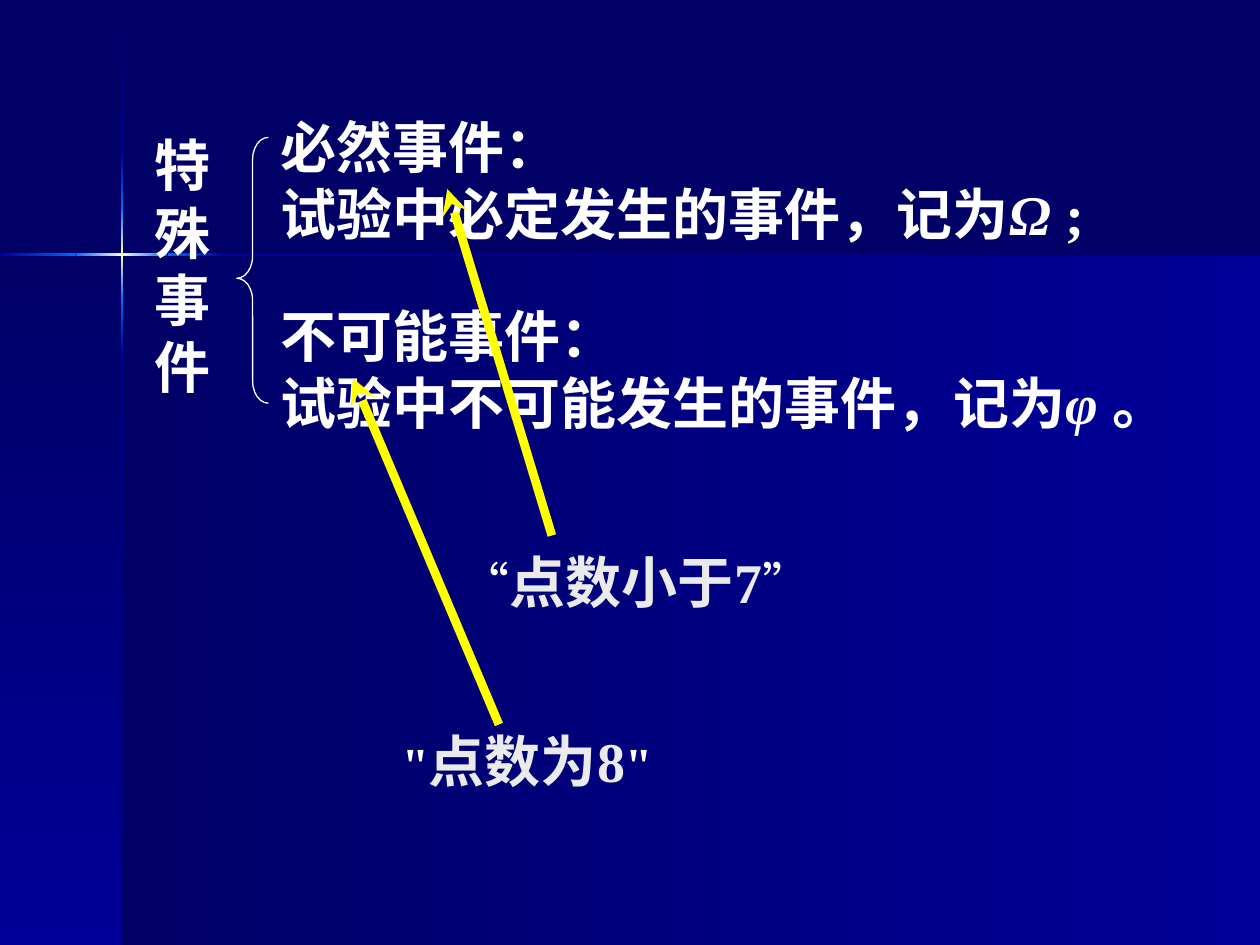
from dataclasses import dataclass
from copy import deepcopy

from lxml import etree
from pptx import Presentation
from pptx import util as u
from pptx.dml.color import RGBColor
from pptx.enum import shapes, text
from pptx.oxml.ns import qn


@dataclass(frozen=True)
class Theme:
    font: str = "Times New Roman"
    body: int = 32
    quote: int = 28
    night: str = "000066"
    navy: str = "000099"
    blue: str = "0066FF"
    glow: str = "FFFFCC"
    white: str = "FFFFFF"
    pale: str = "EAEAEA"
    yellow: str = "FFFF00"


class Deck:
    def __init__(self, theme, width, height):
        self.theme = theme
        self.prs = Presentation()
        self.prs.slide_width = u.Inches(width)
        self.prs.slide_height = u.Inches(height)
        self.s = self.prs.slides.add_slide(self.prs.slide_layouts[6])

    def background(self, color):
        fill = self.s.background.fill
        fill.solid()
        fill.fore_color.rgb = RGBColor.from_string(color)

    def panel(self, box, colors, angle):
        """Borderless rectangle; evenly spaced colors, counter-clockwise angle."""
        sp = self.s.shapes.add_shape(shapes.MSO_SHAPE.RECTANGLE, *map(u.Inches, box))
        sp.shadow.inherit = False
        sp.line.fill.background()
        sp.fill.gradient()
        sp.fill.gradient_angle = angle
        stop_list = sp._element.spPr.find(qn("a:gradFill")).find(qn("a:gsLst"))
        while len(stop_list) < len(colors):
            stop_list.append(deepcopy(stop_list[-1]))
        for i, (stop, color) in enumerate(zip(sp.fill.gradient_stops, colors)):
            stop.position = i / (len(colors) - 1)
            stop.color.rgb = RGBColor.from_string(color)

    def brace(self, box, curve, middle):
        sp = self.s.shapes.add_shape(shapes.MSO_SHAPE.LEFT_BRACE, *map(u.Inches, box))
        sp.shadow.inherit = False
        sp.adjustments[0], sp.adjustments[1] = curve, middle
        sp.fill.background()
        sp.line.color.rgb = RGBColor.from_string(self.theme.white)
        sp.line.width = u.Pt(0.75)

    def text(self, box, paragraphs, wrap=True):
        """Each paragraph is a list of (words, style) runs."""
        tf = self.s.shapes.add_textbox(*map(u.Inches, box)).text_frame
        tf.word_wrap = wrap
        tf.auto_size = text.MSO_AUTO_SIZE.SHAPE_TO_FIT_TEXT
        for i, runs in enumerate(paragraphs):
            p = tf.add_paragraph() if i else tf.paragraphs[0]
            for words, style in runs:
                r = p.add_run()
                r.text = words
                r.font.name = self.theme.font
                r.font.size = u.Pt(style.get("size", self.theme.body))
                r.font.bold = style.get("bold", True)
                r.font.italic = style.get("italic", False)
                color = style.get("color", self.theme.white)
                r.font.color.rgb = RGBColor.from_string(color)

    def arrow(self, start, end):
        line = self.s.shapes.add_connector(
            shapes.MSO_CONNECTOR.STRAIGHT, *map(u.Inches, start + end))
        line.line.color.rgb = RGBColor.from_string(self.theme.yellow)
        line.line.width = u.Pt(5)
        etree.SubElement(line.line._get_or_add_ln(), qn("a:tailEnd"), type="stealth")
        etree.SubElement(line._element.spPr, qn("a:effectLst"))


def main():
    t = Theme()
    deck = Deck(t, 10, 7.5)
    left, down = 180, 270

    # Background panels
    deck.background(t.night)
    deck.panel((0.97, 2.02, 9.03, 5.48), (t.navy, t.night), left)
    deck.panel((0, 2.02, 0.97, 5.48), (t.night, t.navy), down)

    # Glowing cross: consecutive segments of each beam
    flare = (t.blue, t.glow, t.blue)
    for top, bottom, colors in (
        (0.01, 1.21, (t.night, t.navy)),
        (1.21, 1.65, (t.navy, t.blue)),
        (1.65, 2.38, flare),
        (2.38, 2.82, (t.blue, t.navy)),
        (2.82, 7.5, (t.navy, t.night)),
    ):
        deck.panel((0.96, top, 0.02, bottom - top), colors, down)
    for start, end, colors in (
        (0, 0.6, (t.blue, t.navy)),
        (0.6, 1.33, flare),
        (1.33, 1.77, (t.navy, t.blue)),
        (1.77, 10, (t.night, t.navy)),
    ):
        deck.panel((start, 2.01, end - start, 0.02), colors, left)

    # Heading and brace
    deck.text((1.13, 0.99, 0.67, 2.24), [[("特殊事件", {})]])
    deck.brace((1.88, 1.09, 0.25, 2.11), 0.7, 0.53)

    # Definitions
    for top, width, name, meaning, symbol, stop in (
        (0.84, 7.6, "必然事件：", "试验中必定发生的事件，记为", "Ω ", ";"),
        (2.34, 7.52, "不可能事件：", "试验中不可能发生的事件，记为", "φ ", "。"),
    ):
        deck.text((2.13, top, width, 1.17), [
            [(name, {})],
            [(meaning, {}), (symbol, {"italic": True}), (stop, {})],
        ])

    # Examples
    for box, opening, words, closing, bold in (
        ((3.09, 5.72, 2.39, 0.64), '"', "点数为8", '"', True),
        ((3.56, 4.3, 3.19, 0.64), "“", "点数小于7", "”", False),
    ):
        quote = {"size": t.quote, "bold": bold}
        runs = [(opening, quote), (words, {"color": t.pale}), (closing, quote)]
        deck.text(box, [runs], wrap=False)

    # Arrows from examples to definitions
    deck.arrow((4.38, 4.25), (3.55, 1.5))
    deck.arrow((3.96, 5.75), (2.8, 3))

    deck.prs.save("out.pptx")


if __name__ == "__main__":
    main()
